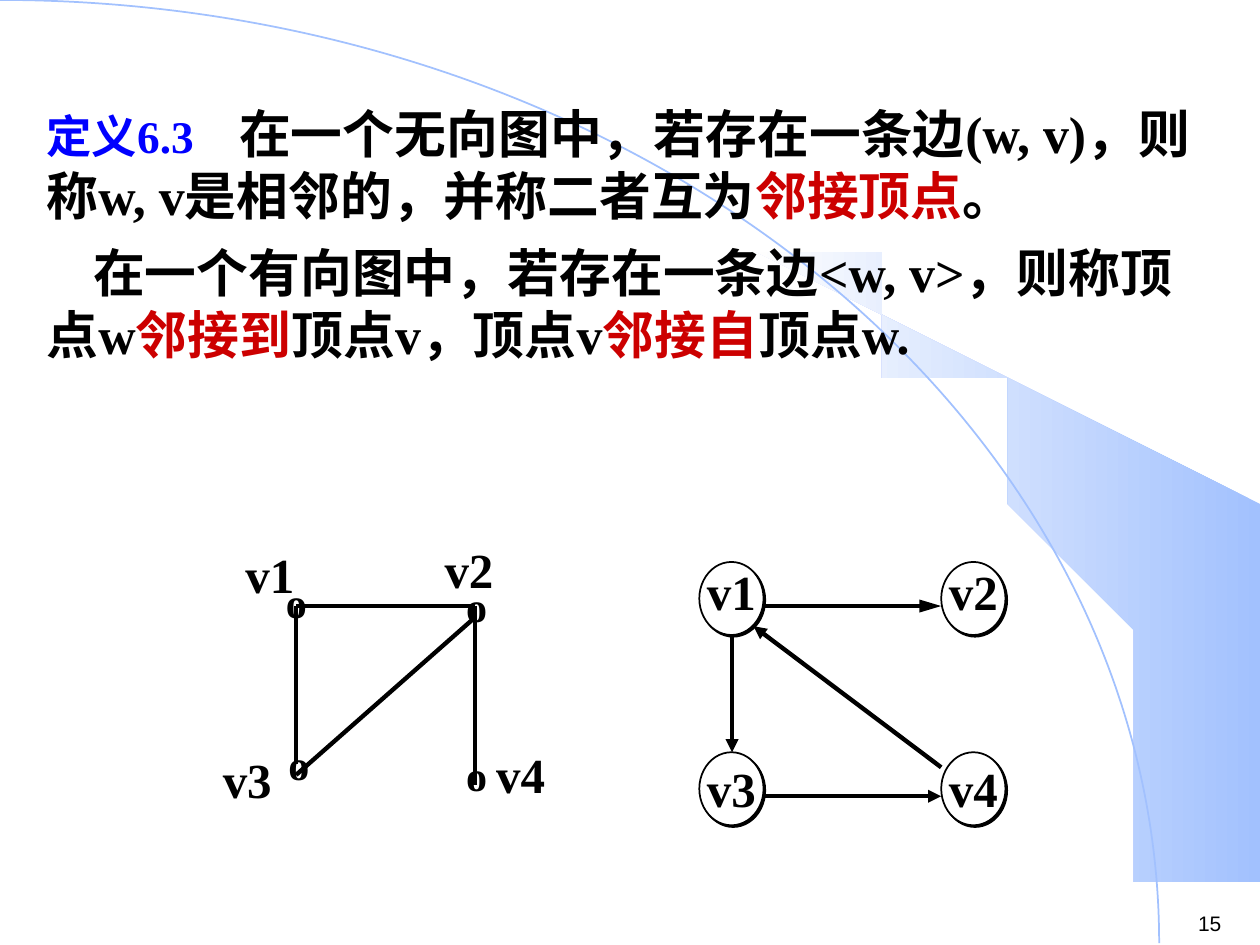
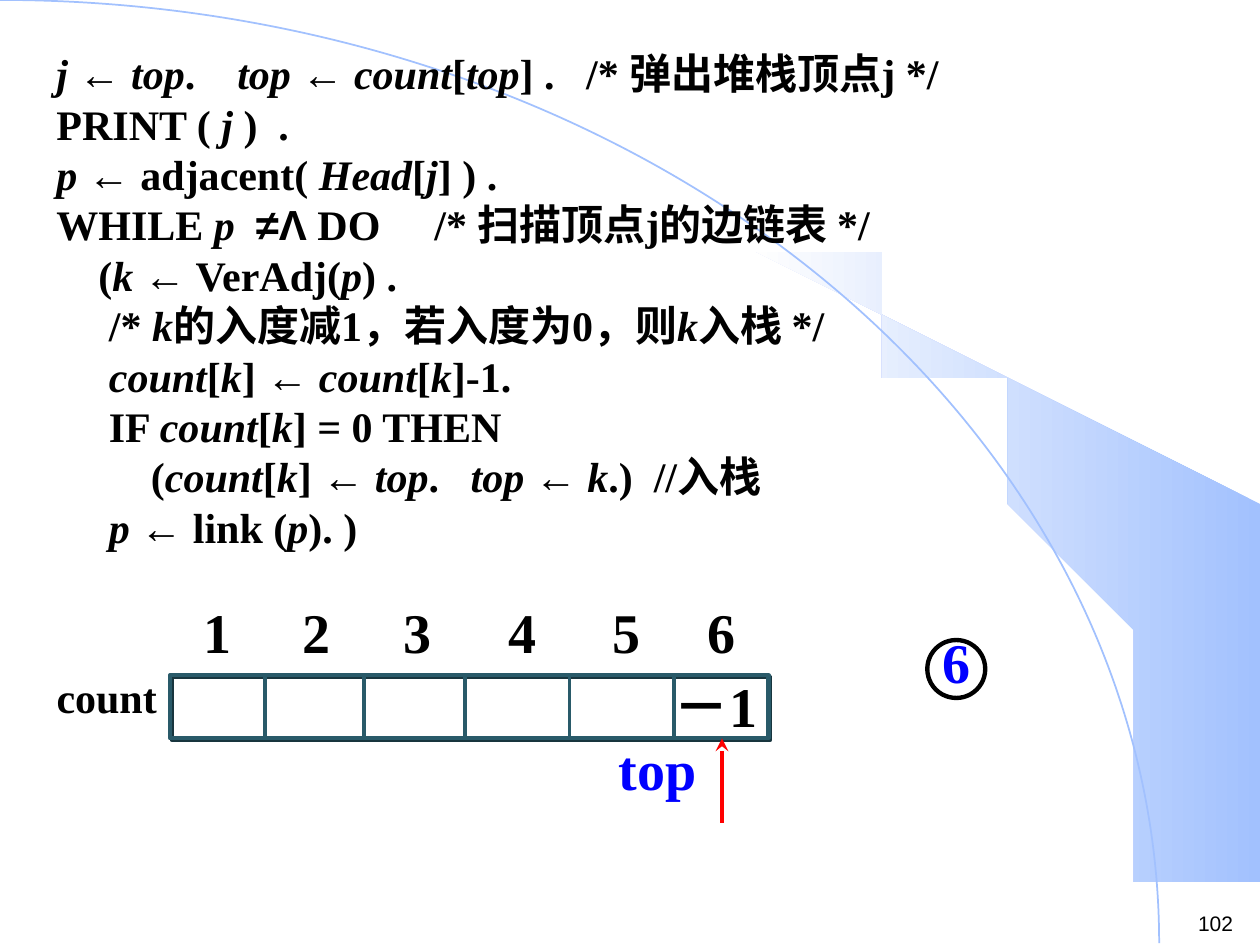
import itertools

import pptx
import pptx.dml.color
import pptx.enum.shapes
import pptx.enum.text
import pptx.oxml.ns
import pptx.util
from lxml import etree
from pptx.util import Inches

HUES = {
    "ink": "000000", "paper": "FFFFFF", "blue": "0000FF", "red": "CC0000",
    "sky": "A2C1FE", "haze": "FEFEFE", "teal": "295A69", "deep": "18353E",
    "hot": "FF0000",
}
SERIF, SANS = "Times New Roman", "Arial"
KINDS = pptx.enum.shapes.MSO_SHAPE
ALIGN = pptx.enum.text.PP_ALIGN
WING = [
    (9.2, 7.48), (9.99, 7.49), (9.99, 4.23), (5.89, 1.73), (6.24, 1.99),
    (6.53, 2.22), (6.85, 2.5), (7.16, 2.8), (7.62, 3.3), (8.03, 3.84),
    (8.32, 4.31), (8.58, 4.79), (8.78, 5.28), (8.93, 5.72), (9.03, 6.09),
    (9.13, 6.56), (9.17, 6.96), (9.2, 7.48),
]
CODE = [
    "_j _← _top_.    _top _← _count_[_top_] .   /* 弹出堆栈顶点j */",
    "PRINT ( _j _)  .",
    "_p _← adjacent( _Head_[_j_] ) .",
    "WHILE_ p  _≠Λ DO\t/* 扫描顶点j的边链表 */",
    "    (_k _← VerAdj(_p_) .",
    "     /* _k_的入度减1，若入度为0，则_k_入栈 */",
    "     _count_[_k_] ← _count_[_k_]-1.",
    "     IF _count_[_k_] = 0 THEN",
    "         (_count_[_k_] ← _top_.   _top _← _k_.)  //入栈",
    "     _p _← link (_p_). )",
]


def tint(name):
    return pptx.dml.color.RGBColor.from_string(HUES[name])


def add(parent, tag, **attrs):
    return etree.SubElement(parent, pptx.oxml.ns.qn(tag), attrs)


def put(para, text, size=28, hue="ink", font=SERIF, bold=True, slant=False):
    run = para.add_run()
    run.text = text
    run.font.size = pptx.util.Pt(size)
    run.font.name = font
    run.font.bold = bold
    run.font.italic = slant
    run.font.color.rgb = tint(hue)


def put_code(para, line):
    for turn, part in enumerate(line.split("_")):
        for sign, chars in itertools.groupby(part, lambda c: c in "←≠Λ"):
            put(para, "".join(chars), size=24, slant=turn % 2 == 1,
                font=SANS if sign else SERIF)


class Deck:
    def __init__(self):
        self.file = pptx.Presentation()
        self.file.slide_width = Inches(10)
        self.file.slide_height = Inches(7.5)
        self.shapes = None

    def page(self, number):
        slide = self.file.slides.add_slide(self.file.slide_layouts[6])
        self.shapes = slide.shapes
        self.wing()
        self.shape(KINDS.ARC, -9.2, 0, 18.4, 14.97, edge="sky")
        self.label(number, 9.41, 7.18, 0.59, 0.3,
                   size=12, font=SANS, bold=False)

    def wing(self):
        pen = self.shapes.build_freeform(*WING[0], scale=Inches(1))
        pen.add_line_segments(WING[1:], close=True)
        form = pen.convert_to_shape()
        form.shadow.inherit = False
        form.line.fill.background()
        form.fill.gradient()
        form.fill.gradient_angle = 180
        for stop, hue in zip(form.fill.gradient_stops, ("sky", "haze")):
            stop.color.rgb = tint(hue)

    def shape(self, kind, x, y, w, h, fill=None, edge="ink", width=1,
              shade=None):
        form = self.shapes.add_shape(
            kind, Inches(x), Inches(y), Inches(w), Inches(h))
        if fill:
            form.fill.solid()
            form.fill.fore_color.rgb = tint(fill)
        else:
            form.fill.background()
        form.line.color.rgb = tint(edge)
        form.line.width = pptx.util.Pt(width)
        form.shadow.inherit = False
        if shade:
            box = form.element.spPr.find(pptx.oxml.ns.qn("a:effectLst"))
            cast = add(box, "a:outerShdw", dist=str(pptx.util.Pt(1.4)),
                       dir="2700000", algn="ctr", rotWithShape="0")
            add(cast, "a:srgbClr", val=HUES[shade])

    def line(self, start, end, hue="ink", width=2.5, head=None, reach="med"):
        link = self.shapes.add_connector(
            pptx.enum.shapes.MSO_CONNECTOR.STRAIGHT,
            *(Inches(n) for n in (*start, *end)))
        link.line.color.rgb = tint(hue)
        link.line.width = pptx.util.Pt(width)
        props = link.element.spPr
        if head:
            add(props.find(pptx.oxml.ns.qn("a:ln")), "a:tailEnd",
                type=head, w="med", len=reach)
        add(props, "a:effectLst")

    def frame(self, x, y, w, h):
        box = self.shapes.add_textbox(
            Inches(x), Inches(y), Inches(w), Inches(h))
        box.text_frame.word_wrap = True
        return box.text_frame

    def label(self, text, x, y, w, h=0.57, align=ALIGN.LEFT, **style):
        para = self.frame(x, y, w, h).paragraphs[0]
        para.alignment = align
        put(para, text, **style)


def define(deck):
    frame = deck.frame(0.27, 0.76, 9.45, 3.35)
    first, second = frame.paragraphs[0], frame.add_paragraph()
    second.space_before = pptx.util.Pt(8)
    stops = add(first._p.get_or_add_pPr(), "a:tabLst")
    add(stops, "a:tab", pos=str(Inches(1.53)), algn="l")
    second._p.get_or_add_pPr().set("indent", str(Inches(0.37)))
    put(first, "定义6.3\t", size=25.9, hue="blue")
    for para, text, hue in (
        (first, "在一个无向图中，若存在一条边(w, v)，"
                "则称w, v是相邻的，并称二者互为", "ink"),
        (first, "邻接顶点", "red"),
        (first, "。", "ink"),
        (second, "在一个有向图中，若存在一条边<w, v>，则称顶点w", "ink"),
        (second, "邻接到", "red"),
        (second, "顶点v，顶点v", "ink"),
        (second, "邻接自", "red"),
        (second, "顶点w.", "ink"),
    ):
        put(para, text, size=29.6, hue=hue)


def directed(deck):
    spots = itertools.product(((4.46, 0), (5.97, 0.05)), (5.55, 7.47))
    for rank, ((top, lag), left) in enumerate(spots, 1):
        deck.shape(KINDS.OVAL, left, top, 0.51, 0.58,
                   fill="paper", shade="ink")
        deck.label(f"v{rank}", left - 0.1, top - 0.05 + lag, 0.71,
                   align=ALIGN.CENTER)
    for start, end, reach in (
        ((6.06, 4.81), (7.47, 4.81), "lg"),
        ((5.81, 5.04), (5.81, 5.97), "med"),
        ((6.06, 6.32), (7.47, 6.32), "med"),
        ((7.47, 6.09), (5.98, 4.97), "med"),
    ):
        deck.line(start, end, head="triangle", reach=reach)


def plain(deck):
    for left, top in ((2.17, 4.53), (3.6, 4.56), (3.6, 5.9), (2.19, 5.81)):
        deck.label("o", left, top, 0.38, 0.5, size=24)
    for start, end in (
        ((2.35, 4.81), (3.77, 4.81)),
        ((2.35, 4.81), (2.35, 6.06)),
        ((2.35, 6.15), (3.77, 4.9)),
        ((3.77, 4.81), (3.77, 6.23)),
    ):
        deck.line(start, end)
    spots = ((1.85, 4.27), (3.43, 4.23), (1.67, 5.9), (3.84, 5.86))
    for rank, (left, top) in enumerate(spots, 1):
        deck.label(f"v{rank}", left, top, 0.67)


def stack(deck):
    top, base, ends = 5.36, 5.86, (2.1, 2.89, 3.69, 4.52, 5.35, 6.1)
    deck.shape(KINDS.RECTANGLE, 1.35, top, 4.75, base - top,
               edge="teal", width=2.5, shade="deep")
    for end in ends[:-1]:
        deck.line((end, top), (end, base), hue="teal", width=2.25)
    for rank, end in enumerate(ends, 1):
        deck.label(str(rank), end - 0.75, 4.69, 0.75, 0.64,
                   align=ALIGN.CENTER, size=32)
    deck.label("－1", 5.14, 5.28, 1.08, 0.64, align=ALIGN.CENTER, size=32)
    deck.label("count", 0.35, 5.28, 1.25, 0.5, size=24)
    deck.label("top", 4.81, 5.78, 1, 0.64, size=32, hue="blue")
    deck.line((5.73, 6.53), (5.73, base), hue="hot", head="stealth")
    deck.shape(KINDS.OVAL, 7.36, 5.08, 0.46, 0.46, width=2.5)
    deck.label("6", 7.26, 4.93, 0.66, 0.64, align=ALIGN.CENTER,
               size=32, hue="blue")


def listing(deck):
    frame = deck.frame(0.35, 0.33, 7.4, 4.1)
    for rank, line in enumerate(CODE):
        para = frame.add_paragraph() if rank else frame.paragraphs[0]
        para.alignment = ALIGN.JUSTIFY
        put_code(para, line)


def main():
    deck = Deck()
    deck.page("15")
    define(deck)
    directed(deck)
    plain(deck)
    deck.page("102")
    stack(deck)
    listing(deck)
    deck.file.save("out.pptx")


if __name__ == "__main__":
    main()
